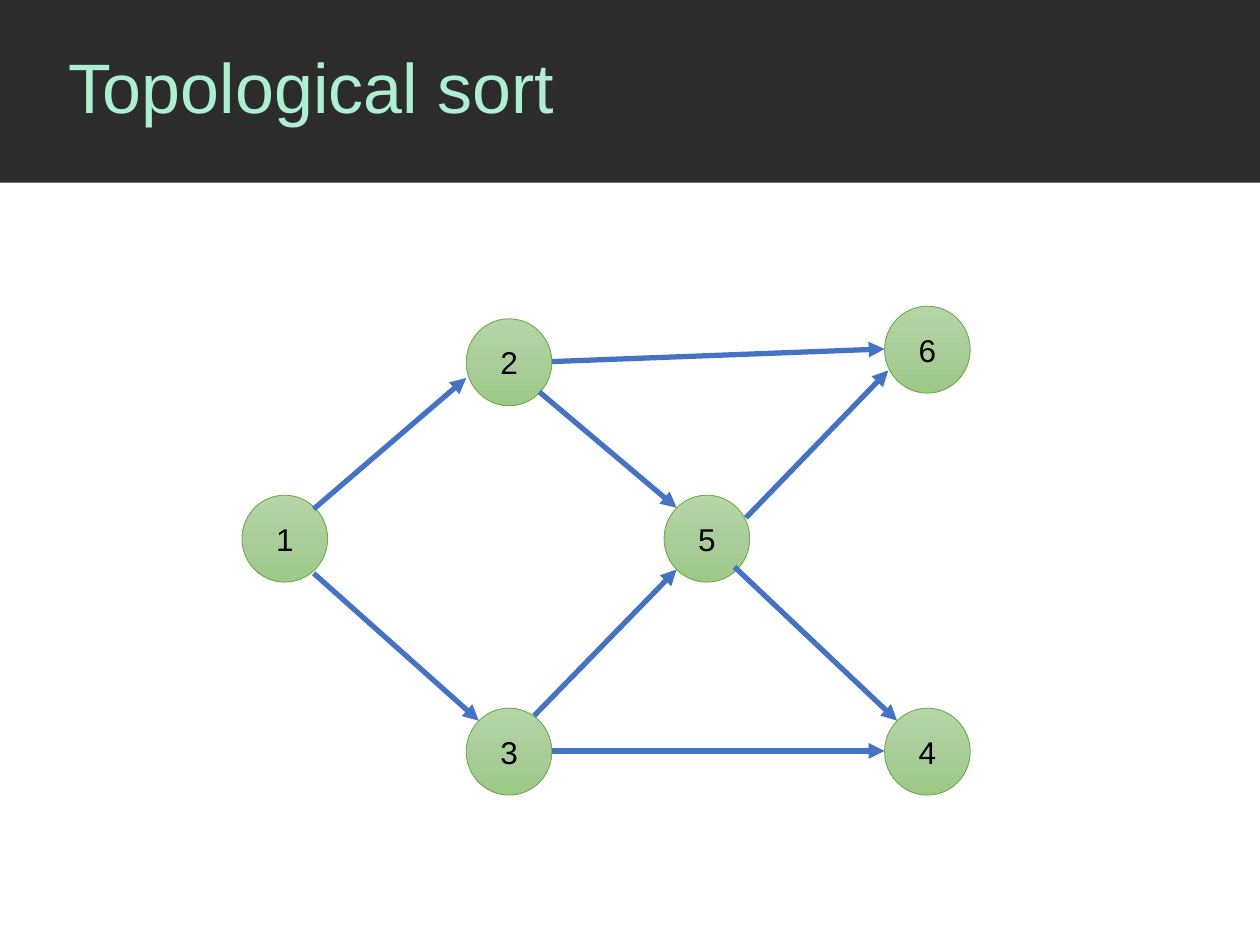
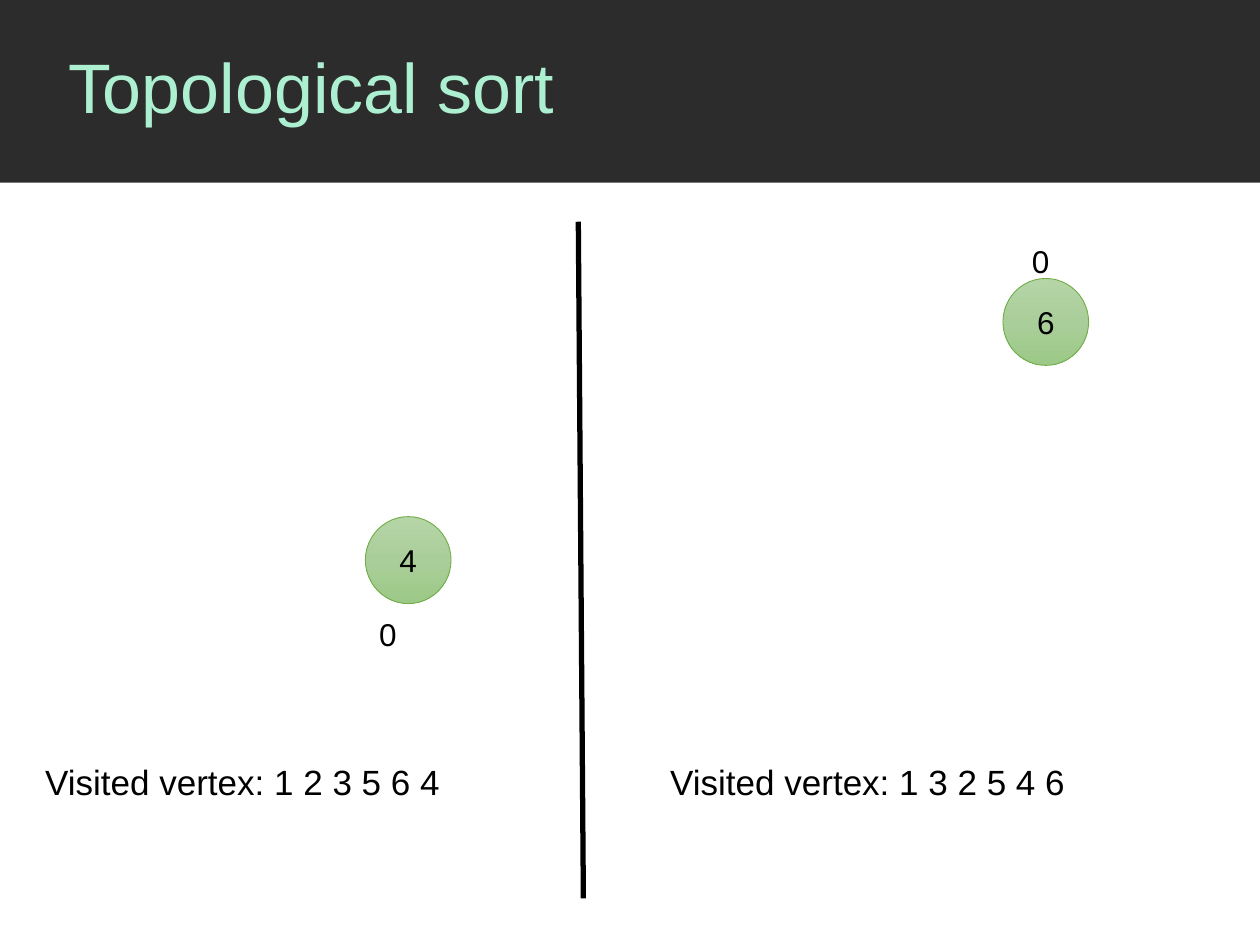
from copy import deepcopy

from pptx import Presentation
from pptx.dml.color import RGBColor
from pptx.enum.shapes import MSO_CONNECTOR, MSO_SHAPE
from pptx.enum.text import MSO_ANCHOR, MSO_AUTO_SIZE, PP_ALIGN
from pptx.oxml.ns import qn
from pptx.oxml.xmlchemy import OxmlElement
from pptx.util import Inches, Pt

FONT = "Arial"
BAND = "2C2C2C"
MINT = "ADF0D1"
BLACK = "000000"
EDGE_BLUE = "4472C4"
NODE_OUTLINE = "70AD47"
NODE_STOPS = [(0, "B5D5A7"), (0.5, "AACE9A"), (1, "9CC987")]
NODE_WIDTH, NODE_HEIGHT = 0.68, 0.69

VERTICES = {
    "1": (1.92, 3.93),
    "2": (3.7, 2.53),
    "3": (3.7, 5.62),
    "4": (7.02, 5.62),
    "5": (5.27, 3.93),
    "6": (7.02, 2.43),
}
EDGES = [
    ((2.49, 4.04), (3.7, 3)),
    ((2.49, 4.55), (3.8, 5.72)),
    ((4.28, 3.11), (5.37, 4.03)),
    ((4.38, 2.87), (7.02, 2.77)),
    ((4.24, 5.68), (5.37, 4.52)),
    ((4.38, 5.96), (7.02, 5.96)),
    ((5.83, 4.5), (7.12, 5.72)),
    ((5.92, 4.11), (7.05, 2.94)),
]


def rgb(value):
    return RGBColor.from_string(value)


def write(frame, text, size=18, color=BLACK, align=PP_ALIGN.LEFT,
          anchor=MSO_ANCHOR.TOP, spacing=1.0):
    frame.word_wrap = True
    frame.vertical_anchor = anchor
    paragraph = frame.paragraphs[0]
    paragraph.alignment = align
    paragraph.line_spacing = spacing
    run = paragraph.add_run()
    run.text = text
    run.font.name = FONT
    run.font.size = Pt(size)
    run.font.color.rgb = rgb(color)


def add_layout_band(slide):
    layout = slide.slide_layout
    layout_title = layout.placeholders[0]
    layout_title.left, layout_title.top = Inches(0.44), Inches(0)
    layout_title.width, layout_title.height = Inches(9.56), Inches(1.44)
    band = slide.shapes.add_shape(MSO_SHAPE.RECTANGLE, Inches(0), Inches(0),
                                  Inches(10), Inches(1.45))
    band.shadow.inherit = False
    band.fill.solid()
    band.fill.fore_color.rgb = rgb(BAND)
    band.line.fill.background()
    band.element.nvSpPr.cNvPr.set("id", "20")
    layout_title.element.addprevious(band.element)


def add_topic_slide(deck, title):
    slide = deck.slides.add_slide(deck.slide_layouts[5])
    write(slide.shapes.title.text_frame, title, size=40, color=MINT,
          anchor=MSO_ANCHOR.MIDDLE, spacing=0.9)
    return slide


def fill_node(node):
    node.fill.gradient()
    node.fill.gradient_angle = 270
    stop_list = node.element.spPr.find(".//" + qn("a:gsLst"))
    stop_list.insert(1, deepcopy(stop_list[0]))
    for stop, (position, color) in zip(node.fill.gradient_stops, NODE_STOPS):
        stop.position = position
        stop.color.rgb = rgb(color)


def add_node(slide, vertex, left, top):
    node = slide.shapes.add_shape(MSO_SHAPE.OVAL, Inches(left), Inches(top),
                                  Inches(NODE_WIDTH), Inches(NODE_HEIGHT))
    node.shadow.inherit = False
    fill_node(node)
    node.line.color.rgb = rgb(NODE_OUTLINE)
    node.line.width = Pt(0.5)
    write(node.text_frame, vertex, align=PP_ALIGN.CENTER,
          anchor=MSO_ANCHOR.MIDDLE)


def add_line(slide, start, end, color, arrow=False):
    line = slide.shapes.add_connector(
        MSO_CONNECTOR.STRAIGHT, *map(Inches, start + end))
    line.line.color.rgb = rgb(color)
    line.line.width = Pt(3)
    if arrow:
        head = OxmlElement("a:tailEnd")
        head.set("type", "triangle")
        line.line._get_or_add_ln().append(head)
    line.element.spPr.append(OxmlElement("a:effectLst"))


def add_label(slide, text, left, top, width, height, **style):
    label = slide.shapes.add_textbox(Inches(left), Inches(top),
                                     Inches(width), Inches(height))
    label.text_frame.auto_size = MSO_AUTO_SIZE.SHAPE_TO_FIT_TEXT
    write(label.text_frame, text, **style)


def draw_graph(slide):
    for vertex, (left, top) in VERTICES.items():
        add_node(slide, vertex, left, top)
    for start, end in EDGES:
        add_line(slide, start, end, EDGE_BLUE, arrow=True)


def draw_orderings(slide):
    add_node(slide, "4", 2.9, 4.1)
    add_node(slide, "6", 7.96, 2.21)
    for left, top in [(2.91, 4.83), (8.09, 1.87)]:
        add_label(slide, "0", left, top, 0.25, 0.4)
    add_line(slide, (4.59, 1.76), (4.63, 7.13), BLACK)
    for order, left, width in [("1 2 3 5 6 4", 0.26, 4.16),
                               ("1 3 2 5 4 6", 5.22, 4.61)]:
        add_label(slide, f"Visited vertex: {order}", left, 5.99, width, 0.44,
                  size=20)


def main():
    deck = Presentation()
    deck.slide_width, deck.slide_height = Inches(10), Inches(7.5)
    graph_slide = add_topic_slide(deck, "Topological sort")
    add_layout_band(graph_slide)
    draw_graph(graph_slide)
    draw_orderings(add_topic_slide(deck, "Topological sort"))
    deck.save("out.pptx")


if __name__ == "__main__":
    main()
